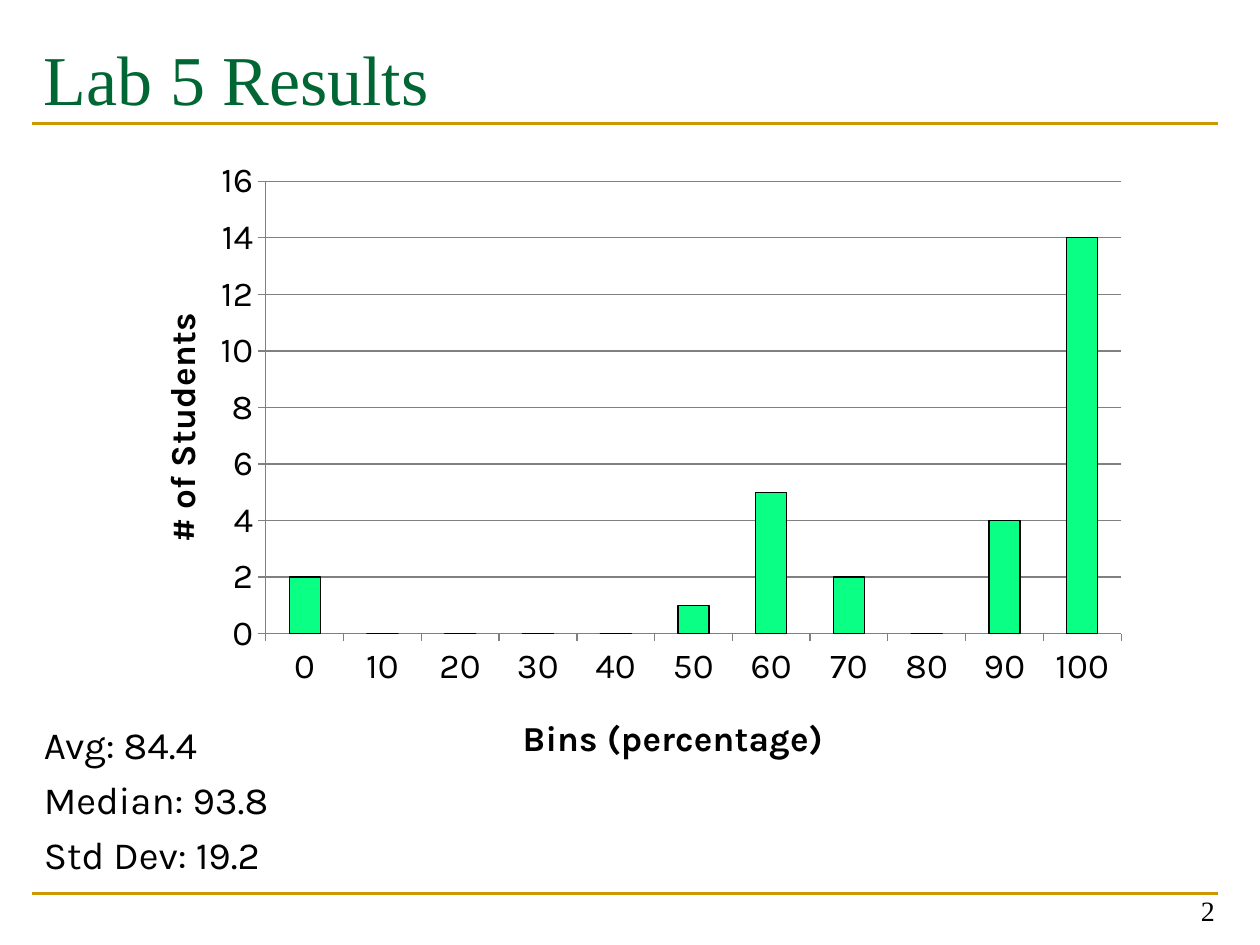
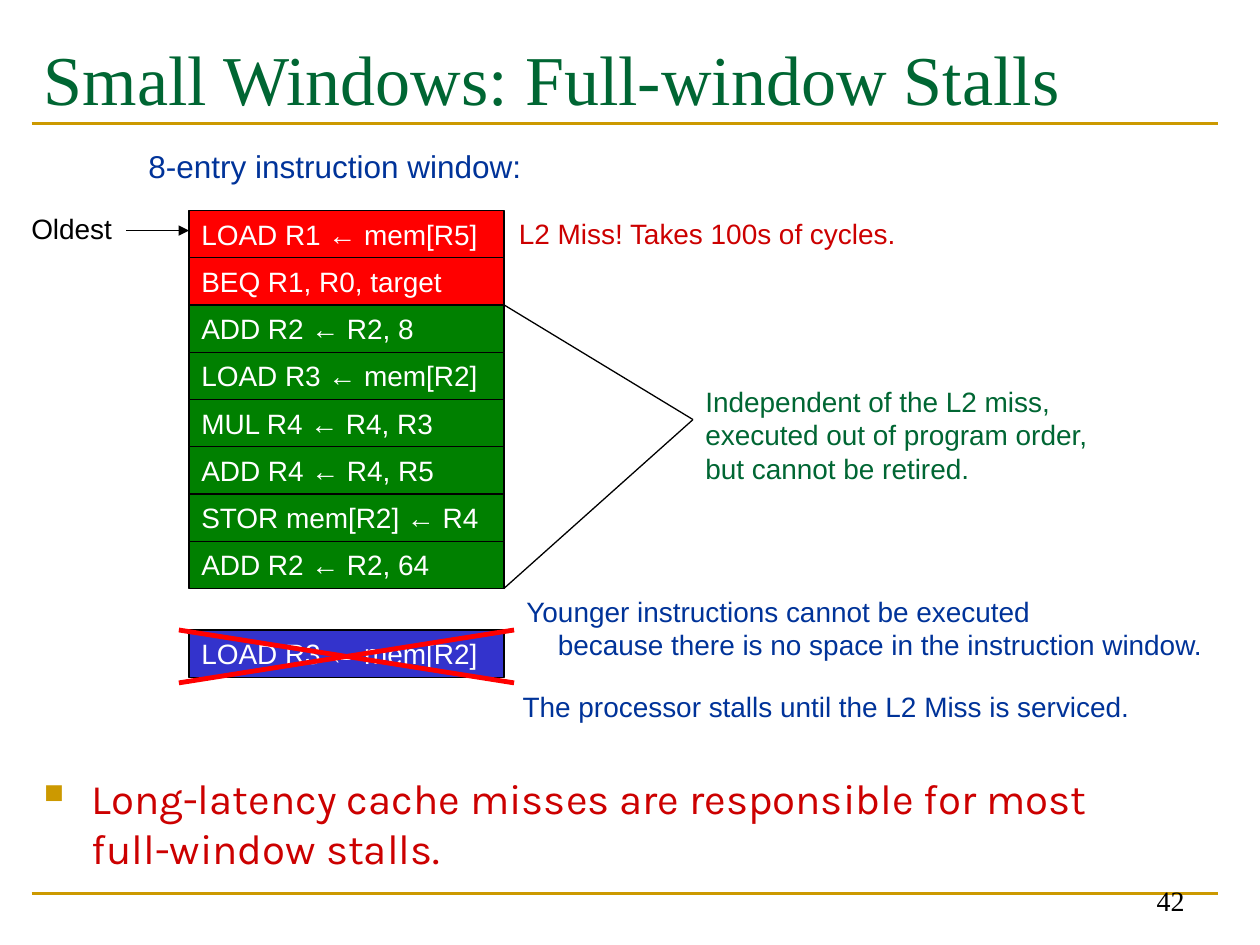
from dataclasses import dataclass

from lxml.etree import SubElement
from pptx import Presentation
from pptx.chart.data import CategoryChartData
from pptx.dml.color import RGBColor
from pptx.enum.chart import XL_CHART_TYPE, XL_TICK_MARK
from pptx.enum.shapes import MSO_CONNECTOR, MSO_SHAPE
from pptx.enum.text import MSO_ANCHOR, PP_ALIGN
from pptx.oxml import parse_xml
from pptx.oxml.ns import nsdecls, qn
from pptx.util import Emu, Inches, Pt

# ---- Content ----
RESULTS = {
    "title": "Lab 5 Results",
    "number": "2",
    "counts": {"0": 2, "10": 0, "20": 0, "30": 0, "40": 0, "50": 1,
               "60": 5, "70": 2, "80": 0, "90": 4, "100": 14},
    "axes": ("Bins (percentage)", "# of Students"),
    "statistics": ["Avg: 84.4", "Median: 93.8", "Std Dev: 19.2"],
}
STALLS = {
    "title": "Small Windows: Full-window Stalls",
    "number": "42",
    "stalled": ["LOAD R1 ← mem[R5]", "BEQ R1, R0, target"],
    "independent": ["ADD R2 ← R2, 8", "LOAD R3 ← mem[R2]", "MUL R4 ← R4, R3",
                    "ADD R4 ← R4, R5", "STOR mem[R2] ← R4", "ADD R2 ← R2, 64"],
    "blocked": "LOAD R3 ← mem[R2]",
    "takeaway": "Long-latency cache misses are responsible for most\vfull-window stalls.",
}


# ---- Theme ----
@dataclass(frozen=True)
class Theme:
    serif: str = "Times New Roman"
    sans: str = "Arial"
    body: str = "Karla"
    title_size: int = 40
    takeaway_size: int = 24
    statistics_size: int = 22
    chart_size: int = 20
    heading_size: int = 18
    label_size: int = 16
    black: str = "000000"
    white: str = "FFFFFF"
    gold: str = "CC9900"
    forest: str = "006633"
    navy: str = "003399"
    crimson: str = "CC0000"
    red: str = "FF0000"
    green: str = "008000"
    indigo: str = "3333CC"
    mint: str = "0AFF85"
    gray: str = "808080"
    thin: float = 0.75
    rule: float = 1.5
    cross: float = 2.75


THEME = Theme()
WIDTH, HEIGHT = 10, 7.5
MARGIN, CONTENT_WIDTH = 0.25, 9.42
RULES = (0.98, 7.09)

# Instruction window grid
WINDOW_LEFT, WINDOW_TOP, WINDOW_WIDTH = 1.5, 1.67, 2.5
WINDOW_RIGHT = WINDOW_LEFT + WINDOW_WIDTH
ROW = 0.375
BLOCKED_TOP = 5
FORK = (5.5, 3.33)

# Text, left, top, width, size, colour
LABELS = [
    (["8-entry instruction window:"], 1.08, 1.12, 3.3, THEME.heading_size, THEME.navy),
    (["Oldest"], 0.15, 1.63, 0.95, THEME.label_size, THEME.black),
    (["L2 Miss! Takes 100s of cycles."], 4.02, 1.67, 3.4, THEME.label_size, THEME.crimson),
    (["Independent of the L2 miss,", "executed out of program order,",
      "but cannot be retired."], 5.5, 3, 4.02, THEME.label_size, THEME.forest),
    (["Younger instructions cannot be executed"],
     4.08, 4.67, 5.7, THEME.label_size, THEME.navy),
    (["because there is no space in the instruction window."],
     4.33, 4.93, 5.6, THEME.label_size, THEME.navy),
    (["The processor stalls until the L2 Miss is serviced."],
     4.05, 5.42, 5.2, THEME.label_size, THEME.navy),
]


# ---- Helpers ----
def color(value):
    return RGBColor.from_string(value)


def inches(*lengths):
    return [Inches(length) for length in lengths]


def set_font(font, name, size, tint, bold=None):
    font.name, font.size, font.bold = name, Pt(size), bold
    font.color.rgb = color(tint)


def write(frame, lines, name, size, tint, align=PP_ALIGN.LEFT, gap=0):
    frame.word_wrap = True
    for index, line in enumerate(lines):
        para = frame.paragraphs[0] if index == 0 else frame.add_paragraph()
        para.text = line
        para.alignment = align
        para.space_before = Pt(gap)
        set_font(para.font, name, size, tint)


def add_text(page, place, lines, name, size, tint, anchor=MSO_ANCHOR.TOP, **options):
    box = page.shapes.add_textbox(*inches(*place))
    box.text_frame.vertical_anchor = anchor
    write(box.text_frame, lines, name, size, tint, **options)
    return box


def add_line(page, start, end, tint=THEME.black, weight=THEME.thin, arrow=False):
    line = page.shapes.add_connector(MSO_CONNECTOR.STRAIGHT, *inches(*start, *end))
    line.line.color.rgb = color(tint)
    line.line.width = Pt(weight)
    properties = line._element.spPr
    if arrow:
        SubElement(properties.find(qn("a:ln")), qn("a:tailEnd"), type="triangle")
    SubElement(properties, qn("a:effectLst"))


def add_instruction(page, top, text, fill):
    cell = page.shapes.add_shape(
        MSO_SHAPE.RECTANGLE, *inches(WINDOW_LEFT, top, WINDOW_WIDTH, ROW))
    cell.shadow.inherit = False
    cell.fill.solid()
    cell.fill.fore_color.rgb = color(fill)
    cell.line.color.rgb = color(THEME.black)
    cell.line.width = Pt(THEME.thin)
    cell.text_frame.vertical_anchor = MSO_ANCHOR.MIDDLE
    write(cell.text_frame, [text], THEME.sans, THEME.label_size, THEME.white)


def add_bullet(para, indent):
    properties = para._p.get_or_add_pPr()
    properties.set("marL", str(Inches(indent)))
    properties.set("indent", str(Emu(-Inches(indent))))
    tint = SubElement(properties, qn("a:buClr"))
    SubElement(tint, qn("a:srgbClr"), val=THEME.gold)
    SubElement(properties, qn("a:buSzPct"), val="65000")
    SubElement(properties, qn("a:buChar"), char="■")


def chart_layout(x, y, w=None, h=None):
    """Manual chart layout in shares of the chart's size."""
    target = '<c:layoutTarget val="inner"/>' if w else ""
    sizes = f'<c:w val="{w}"/><c:h val="{h}"/>' if w else ""
    return parse_xml(
        f'<c:layout {nsdecls("c")}><c:manualLayout>{target}'
        f'<c:xMode val="edge"/><c:yMode val="edge"/>'
        f'<c:x val="{x}"/><c:y val="{y}"/>{sizes}</c:manualLayout></c:layout>')


def replace_layout(parent, layout, after=None):
    for old in parent.findall(qn("c:layout")):
        parent.remove(old)
    if after is None:
        parent.insert(0, layout)
    else:
        parent.find(qn(after)).addnext(layout)


def add_page(deck, content, number_place):
    page = deck.slides.add_slide(deck.slide_layouts[6])
    for y in RULES:
        add_line(page, (MARGIN, y), (MARGIN + CONTENT_WIDTH, y), THEME.gold, THEME.rule)
    add_text(page, (MARGIN, 0.23, CONTENT_WIDTH, 0.75), [content["title"]],
             THEME.serif, THEME.title_size, THEME.forest)
    add_text(page, (*number_place, 2.33, 0.5), [content["number"]], THEME.serif,
             THEME.label_size, THEME.black, MSO_ANCHOR.BOTTOM, align=PP_ALIGN.RIGHT)
    return page


# ---- Slides ----
def add_histogram(page):
    data = CategoryChartData()
    data.categories = list(RESULTS["counts"])
    data.add_series("Series 1", list(RESULTS["counts"].values()))
    chart = page.shapes.add_chart(
        XL_CHART_TYPE.COLUMN_CLUSTERED, *inches(0.92, 1.17, 8.15, 5.06), data).chart
    chart.has_legend = chart.has_title = False
    set_font(chart.font, THEME.body, THEME.chart_size, THEME.black)
    replace_layout(chart._chartSpace.chart.plotArea, chart_layout(0.146, 0.053, 0.833, 0.71))

    plot = chart.plots[0]
    plot.gap_width, plot.vary_by_categories = 150, False
    bars = plot.series[0].format
    bars.fill.solid()
    bars.fill.fore_color.rgb = color(THEME.mint)
    bars.line.color.rgb = color(THEME.black)
    bars.line.width = Pt(THEME.thin)

    axes = (chart.category_axis, chart.value_axis)
    title_places = ((0.39, 0.88), (0.035, 0.25))
    for axis, title, place in zip(axes, RESULTS["axes"], title_places):
        axis.major_tick_mark = XL_TICK_MARK.OUTSIDE
        axis.format.line.color.rgb = color(THEME.gray)
        frame = axis.axis_title.text_frame
        frame.text = title
        set_font(frame.paragraphs[0].font, THEME.body, THEME.chart_size, THEME.black, True)
        replace_layout(axis.axis_title._element, chart_layout(*place), "c:tx")
    values = chart.value_axis
    values.minimum_scale, values.maximum_scale, values.major_unit = 0, 16, 2
    values.has_major_gridlines = True
    values.major_gridlines.format.line.color.rgb = color(THEME.gray)


def build_results(deck):
    page = add_page(deck, RESULTS, (7.41, 6.91))
    add_text(page, (MARGIN, 5.67, 2.42, 1.74), RESULTS["statistics"],
             THEME.body, THEME.statistics_size, THEME.black, gap=5.1)
    add_histogram(page)


def build_stalls(deck):
    page = add_page(deck, STALLS, (7.17, 6.83))

    # Instruction window
    rows = [(text, THEME.red) for text in STALLS["stalled"]]
    rows += [(text, THEME.green) for text in STALLS["independent"]]
    for index, (text, fill) in enumerate(rows):
        add_instruction(page, WINDOW_TOP + index * ROW, text, fill)

    # Labels, arrow and fork
    for lines, left, top, width, size, tint in LABELS:
        add_text(page, (left, top, width, 0.27 * len(lines) + 0.1), lines,
                 THEME.sans, size, tint)
    add_line(page, (1, 1.83), (WINDOW_LEFT, 1.83), arrow=True)
    for row in (len(STALLS["stalled"]), len(rows)):
        add_line(page, (WINDOW_RIGHT, WINDOW_TOP + row * ROW), FORK)

    # Crossed-out instruction
    add_instruction(page, BLOCKED_TOP, STALLS["blocked"], THEME.indigo)
    low, high = BLOCKED_TOP, BLOCKED_TOP + 0.42
    left, right = WINDOW_LEFT - 0.08, WINDOW_RIGHT + 0.08
    for start, end in ((high, low), (low, high)):
        add_line(page, (left, start), (right, end), THEME.red, THEME.cross)

    # Takeaway
    box = add_text(page, (MARGIN, 6.08, CONTENT_WIDTH, 0.75), [STALLS["takeaway"]],
                   THEME.body, THEME.takeaway_size, THEME.crimson, gap=5.6)
    add_bullet(box.text_frame.paragraphs[0], 0.38)


def main():
    deck = Presentation()
    deck.slide_width, deck.slide_height = inches(WIDTH, HEIGHT)
    build_results(deck)
    build_stalls(deck)
    deck.save("out.pptx")


if __name__ == "__main__":
    main()
